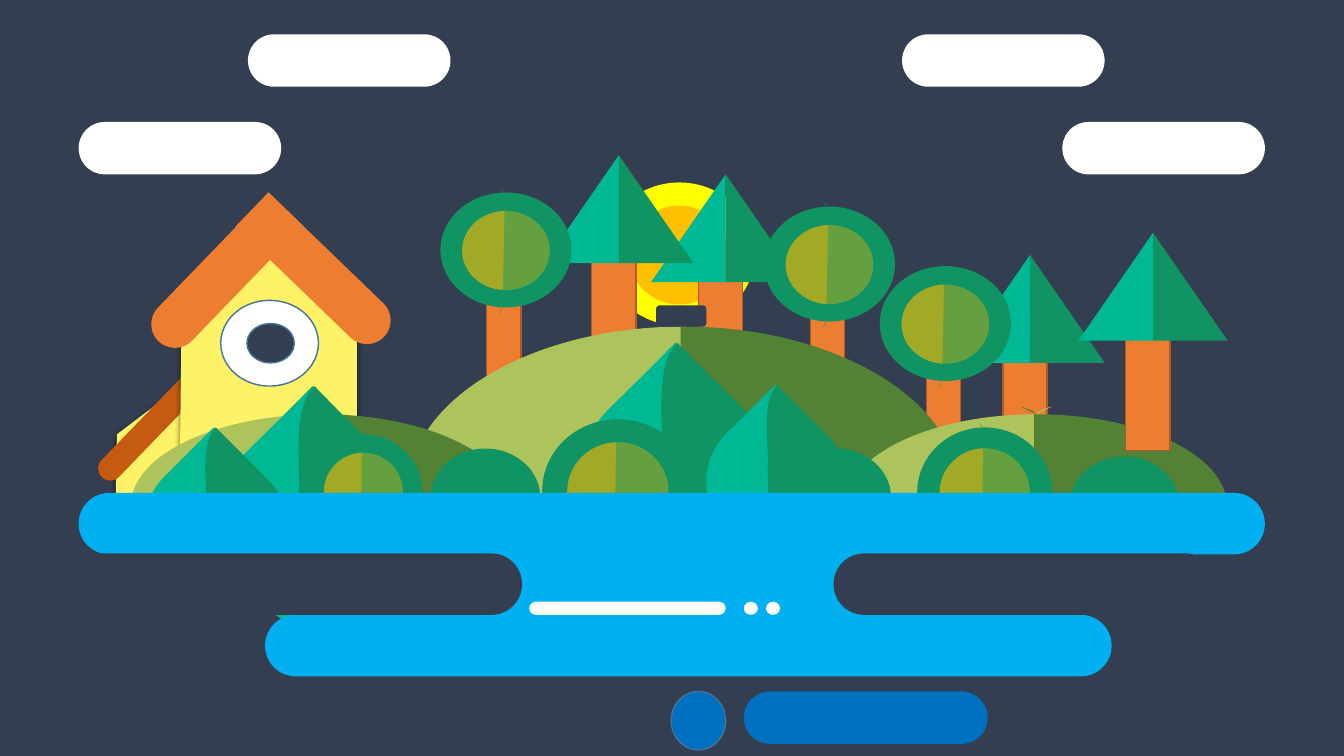
"""Build a slide with a lakeside landscape: house, hills, trees, clouds and water."""
from lxml import etree
from pptx import Presentation
from pptx.dml.color import RGBColor
from pptx.enum.shapes import MSO_SHAPE
from pptx.oxml.ns import qn
from pptx.util import Cm, Pt

OVAL = MSO_SHAPE.OVAL
RECT = MSO_SHAPE.RECTANGLE
PILL = MSO_SHAPE.ROUNDED_RECTANGLE
ROOF = MSO_SHAPE.ROUND_2_SAME_RECTANGLE
SLOPE = MSO_SHAPE.RIGHT_TRIANGLE

NIGHT = RGBColor(0x33, 0x3F, 0x50)
WHITE = RGBColor(0xFF, 0xFF, 0xFF)
YELLOW = RGBColor(0xFF, 0xFF, 0x00)
AMBER = RGBColor(0xFF, 0xC0, 0x00)
CREAM = RGBColor(0xFE, 0xF2, 0x66)
ORANGE = RGBColor(0xED, 0x7D, 0x31)
BARK = RGBColor(0xAF, 0x5C, 0x24)
RUST = RGBColor(0xC5, 0x5A, 0x11)
STEEL = RGBColor(0x43, 0x73, 0x9E)
MINT = RGBColor(0x00, 0xB8, 0x94)
GREEN = RGBColor(0x10, 0x94, 0x64)
OLIVE = RGBColor(0xA1, 0xA9, 0x27)
MEADOW = RGBColor(0xAD, 0xC4, 0x5C)
MOSS = RGBColor(0x54, 0x82, 0x35)
SKY = RGBColor(0x00, 0xB0, 0xF0)
BLUE = RGBColor(0x00, 0x70, 0xC0)

CM_PER_UNIT = 2.54

HILL_HALF = [(-1, 0), (-1, -.55), (-.55, -1), (0, -1), (.17, -1.17), (.01, -1.03), (.01, -1.03),
             (.01, -.4), (.01, .4), (.01, 1), (.17, 1.17), (0, 1), (0, 1),
             (-.55, 1), (-1, .55), (-1, 0)]
CROWN_HALF = [(1, 0), (1, -.55), (.55, -1), (0, -1), (-.17, -1.17), (0, -1.08), (0, -.97),
              (0, -.4), (-.03, .7), (-.03, .95), (-.03, 1.19), (-.18, 1.17), (0, 1),
              (.55, 1), (1, .55), (1, 0)]
BROAD_LEFT = [(-.71, 1.98), (-1.06, 1.63), (-1.04, 1.05), (-.67, .67), (-.45, .45), (-.22, .23),
              (0, 0), (.21, .21), (.15, .72), (.15, 1.01), (.18, 1.32), (.15, 1.67), (.19, 1.83),
              (.13, 1.97), (.2, 1.42), (.19, 2.06), (.17, 2.7), (-.36, 2.33), (-.71, 1.98)]
BROAD_RIGHT = [(-x, y) for x, y in BROAD_LEFT]
NARROW_LEFT = [(-.48, 1.44), (-.75, 1.17), (-.75, .74), (-.48, .48), (-.32, .32), (-.16, .16),
               (0, 0), (.16, .16), (.12, .53), (.13, .75), (.16, .97), (.14, 1.23), (.17, 1.35),
               (.14, 1.45), (.18, 1.05), (.18, 1.52), (.18, 1.99), (-.22, 1.71), (-.48, 1.44)]
NARROW_RIGHT = [(.57, 1.48), (.82, 1.23), (.79, .8), (.51, .51), (.34, .34), (.17, .17),
                (0, 0), (-.15, .16), (-.09, .53), (-.09, .75), (-.1, .97), (-.07, 1.23), (-.1, 1.35),
                (-.05, 1.46), (-.12, 1.05), (-.09, 1.52), (-.06, 1.99), (.32, 1.73), (.57, 1.48)]

prs = Presentation()
prs.slide_width, prs.slide_height = Cm(33.87), Cm(19.05)
slide = prs.slides.add_slide(prs.slide_layouts[6])
slide.background.fill.solid()
slide.background.fill.fore_color.rgb = NIGHT
scene = slide.shapes


def preset(parent, kind, left, top, width, height, fill, line=None, rotation=0, adjust=()):
    """Add a filled preset shape."""
    shape = parent.add_shape(kind, *(Cm(v * CM_PER_UNIT) for v in (left, top, width, height)))
    shape.shadow.inherit = False
    shape.fill.solid()
    shape.fill.fore_color.rgb = fill
    shape.rotation = rotation
    for index, value in enumerate(adjust):
        shape.adjustments[index] = value
    if line is None:
        shape.line.fill.background()
    else:
        shape.line.color.rgb = line
        shape.line.width = Pt(1)
    return shape


def outline(parent, nodes, x, y, fill, scale_x=1, scale_y=1, curved=True):
    """Add a filled outline through straight or cubic segments."""
    placed = [(Cm((x + node_x * scale_x) * CM_PER_UNIT), Cm((y + node_y * scale_y) * CM_PER_UNIT))
              for node_x, node_y in nodes]
    builder = parent.build_freeform(*placed[0])
    builder.add_line_segments(placed[1:], close=True)
    shape = builder.convert_to_shape()
    if curved:
        segments = list(shape._element.iter(qn("a:lnTo")))
        for i in range(0, len(segments), 3):
            curve = etree.Element(qn("a:cubicBezTo"))
            segments[i].addprevious(curve)
            for segment in segments[i:i + 3]:
                curve.append(segment[0])
                segment.getparent().remove(segment)
    shape.shadow.inherit = False
    shape.fill.solid()
    shape.fill.fore_color.rgb = fill
    shape.line.fill.background()
    return shape


sun = scene.add_group_shape().shapes
preset(sun, OVAL, 5.99, 1.81, 1.5, 1.42, YELLOW)
preset(sun, OVAL, 6.24, 2.04, 1, .98, AMBER)

round_trees = [(7.58, 2.05), (8.73, 2.64), (4.37, 1.91)]
trunks = scene.add_group_shape().shapes
for x, y in round_trees:
    preset(trunks, RECT, x + .46, y + .92, .34, 1.17, ORANGE, BARK)

annex_wall = [(1.16, 4.31), (2.03, 3.65), (2.91, 4.3), (2.91, 5.91), (1.13, 5.9)]
house_wall = [(1.8, 3.34), (2.66, 2.31), (3.54, 3.32), (3.54, 5.83), (1.77, 5.81)]
annex_roof = [(2.71, 3.22, .24, 1.52, ORANGE, 134), (1.45, 3.35, .24, 1.61, RUST, 224)]
house_roof = [(2.92, 1.8, .47, 1.82, ORANGE, 134), (1.97, 1.82, .47, 1.82, ORANGE, 224)]
for wall, roof in ((annex_wall, annex_roof), (house_wall, house_roof)):
    building = scene.add_group_shape().shapes
    front = outline(building, wall, 0, 0, CREAM, curved=False)
    effects = front._element.spPr.find(qn("a:effectLst"))
    shadow = etree.SubElement(effects, qn("a:outerShdw"), blurRad=str(Pt(4.5)), dist=str(Pt(1.5)),
                              dir="5400000", algn="ctr", rotWithShape="0")
    black = etree.SubElement(shadow, qn("a:srgbClr"), val="000000")
    etree.SubElement(black, qn("a:alpha"), val="63000")
    if wall is house_wall:
        preset(building, OVAL, 2.19, 2.98, .97, .85, WHITE, STEEL)
        preset(building, OVAL, 2.45, 3.21, .47, .39, NIGHT, STEEL)
    for left, top, width, height, fill, angle in roof:
        preset(building, ROOF, left, top, width, height, fill, rotation=angle, adjust=(.5, 0))

for left, top in ((.78, 1.21), (2.46, .34), (10.54, 1.21), (8.95, .34)):
    preset(scene, PILL, left, top, 2.01, .52, WHITE, adjust=(.5,))

back_pines = [(7.2, 1.73), (10.22, 2.53), (6.14, 1.54)]
front_pines = [(11.44, 2.31)]
all_hills = [(6.78, 4.86, 2.73, 1.62), (3.19, 5.01, 1.89, .9), (10.28, 5.01, 1.89, .9)]
for pines, hills in ((back_pines, all_hills), (front_pines, [])):
    for x, y in pines:
        pine = scene.add_group_shape().shapes
        preset(pine, RECT, x - .27, y + .71, .44, 1.45, ORANGE, BARK)
        lit_side = preset(pine, SLOPE, x - .74, y, .74, 1.07, MINT)
        lit_side._element.spPr.xfrm.set("flipH", "1")
        preset(pine, SLOPE, x, y, .74, 1.07, GREEN)
    for x, y, radius_x, radius_y in hills:
        hill = scene.add_group_shape().shapes
        outline(hill, HILL_HALF, x, y, MEADOW, radius_x, radius_y)
        outline(hill, HILL_HALF, x, y, MOSS, -radius_x, radius_y)
preset(scene, PILL, 6.51, 3.03, .5, .21, NIGHT)

for x, y, left_half, right_half in ((6.7, 3.4, BROAD_LEFT, BROAD_RIGHT),
                                    (7.69, 3.82, NARROW_LEFT, NARROW_RIGHT),
                                    (3.1, 3.83, BROAD_LEFT, BROAD_RIGHT),
                                    (2.12, 4.24, NARROW_LEFT, NARROW_RIGHT)):
    cone = scene.add_group_shape().shapes
    outline(cone, left_half, x, y, MINT)
    outline(cone, right_half, x + .02, y, GREEN)

bushes = [(5.38, 4.16, 1.5, 1.42), (3.02, 4.31, 1.17, 1.13), (9.1, 4.24, 1.34, 1.29)]
for x, y, width, height in [(x, y, 1.3, 1.14) for x, y in round_trees] + bushes:
    crown = scene.add_group_shape().shapes
    preset(crown, OVAL, x, y, width, height, GREEN)
    preset(crown, OVAL, x + .165 * width, y + .16 * height, .67 * width, .69 * height, OLIVE)
    shade = outline(crown, CROWN_HALF, x + .49 * width, y + .5 * height, GREEN,
                    .475 * width, .49 * height)
    tint = shade._element.spPr.find(qn("a:solidFill"))[0]
    etree.SubElement(tint, qn("a:alpha"), val="42000")

for left, top in ((10.61, 4.53), (7.75, 4.45), (4.27, 4.45)):
    preset(scene, OVAL, left, top, 1.09, .97, GREEN)

lake = scene.add_group_shape().shapes
for left, top, width, height, fill in ((.78, 4.89, 11.77, .61, SKY), (4.05, 5.49, 5.47, .61, SKY),
                                       (2.63, 6.1, 8.4, .61, SKY), (8.27, 5.49, 3.8, .61, NIGHT),
                                       (.43, 5.49, 4.75, .61, NIGHT), (7.38, 6.86, 2.42, .52, BLUE),
                                       (5.25, 5.97, 1.95, .13, WHITE)):
    preset(lake, PILL, left, top, width, height, fill, adjust=(.5,))
preset(lake, OVAL, 6.66, 6.86, .54, .58, BLUE, STEEL)
for left in (7.38, 7.6):
    preset(lake, OVAL, left, 5.97, .14, .13, WHITE)

prs.save("out.pptx")
